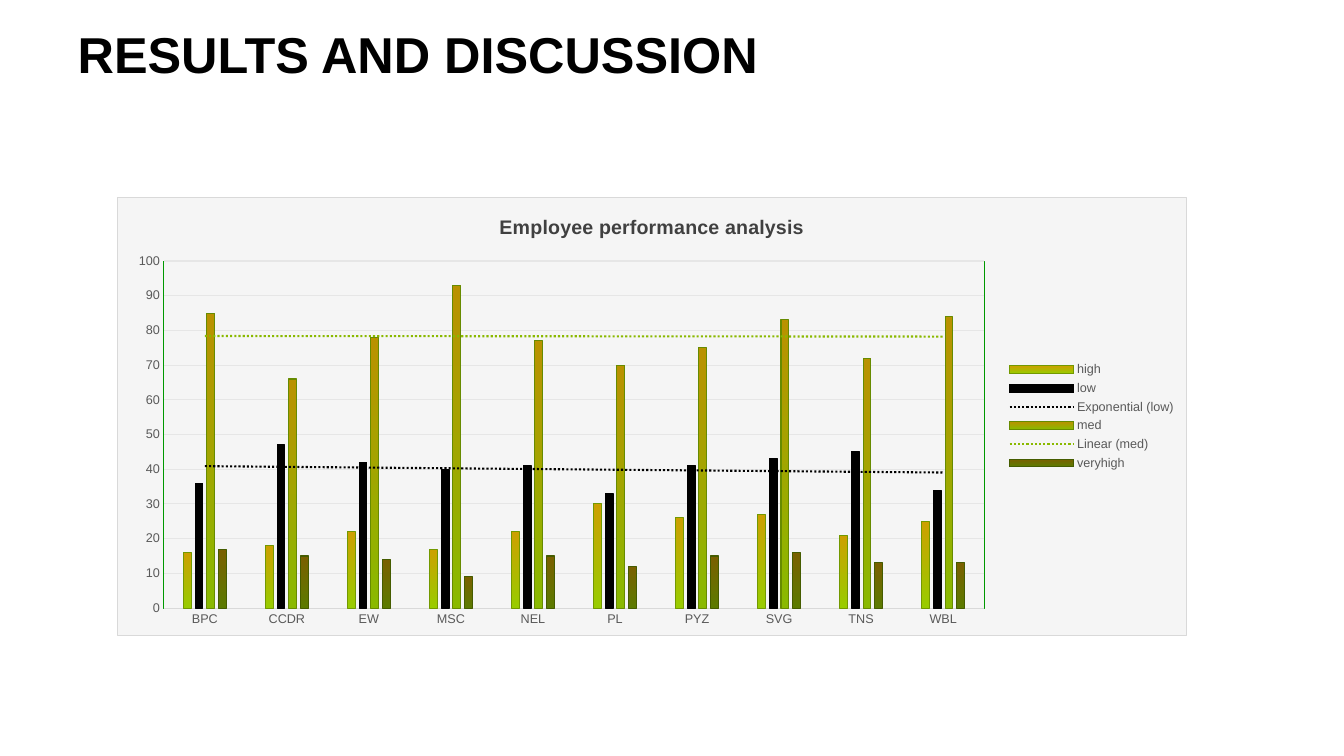
"""Build the results slide with the employee performance chart."""
from lxml import etree
from pptx import Presentation
from pptx.chart.data import CategoryChartData
from pptx.dml.color import RGBColor
from pptx.enum.chart import XL_CHART_TYPE as ChartType
from pptx.enum.chart import XL_LEGEND_POSITION as LegendPosition
from pptx.enum.chart import XL_TICK_MARK as TickMark
from pptx.enum.text import MSO_ANCHOR as Anchor
from pptx.enum.text import MSO_AUTO_SIZE as AutoSize
from pptx.enum.text import PP_ALIGN as Align
from pptx.oxml import parse_xml
from pptx.oxml.ns import nsdecls, qn
from pptx.util import Inches, Pt

COLORS = {
    "black": "000000", "heading": "404040", "label": "595959",
    "panel": "F5F5F5", "border": "D9D9D9", "grid": "E6E6E6",
    "plot": "009900", "trend": "8AB900",
}
FONT = "Arial"
CATEGORIES = ["BPC", "CCDR", "EW", "MSC", "NEL", "PL", "PYZ", "SVG", "TNS", "WBL"]
SERIES = [
    ("high", [16, 18, 22, 17, 22, 30, 26, 27, 21, 25], ["CCA000", "99CC00"], "739900"),
    ("low", [36, 47, 42, 40, 41, 33, 41, 43, 45, 34], ["000000"], "000000"),
    ("med", [85, 66, 78, 93, 77, 70, 75, 83, 72, 84], ["B99200", "8AB900"], "678B00"),
    ("veryhigh", [17, 15, 14, 9, 15, 12, 15, 16, 13, 13], ["7A6000", "5C7A00"], "455C00"),
]
TRENDS = {"low": ("exp", "black"), "med": ("linear", "trend")}


def style_font(font, size, color, bold=False):
    """Set face, size, colour and weight of a font."""
    font.name = FONT
    font.size = Pt(size)
    font.bold = bold
    font.color.rgb = RGBColor.from_string(COLORS[color])


def shape_properties(fill, line, width=0.75, dash="solid"):
    """Return a chart spPr element with the given fill and line."""
    properties = parse_xml(
        f'<c:spPr {nsdecls("c", "a")}><a:ln w="{Pt(width)}"><a:solidFill>'
        f'<a:srgbClr val="{COLORS[line]}"/></a:solidFill>'
        f'<a:prstDash val="{dash}"/></a:ln></c:spPr>')
    paint = etree.Element(qn("a:solidFill" if fill else "a:noFill"))
    if fill:
        etree.SubElement(paint, qn("a:srgbClr"), val=COLORS[fill])
    properties.insert(0, paint)
    return properties


deck = Presentation()
deck.slide_width, deck.slide_height = Inches(13.33), Inches(7.5)
page = deck.slides.add_slide(deck.slide_layouts[5])

title = page.shapes.title
title.left, title.top = Inches(0.67), Inches(0.21)
title.width, title.height = Inches(12), Inches(0.64)
title.text_frame.text = "RESULTS AND DISCUSSION"
title.text_frame.auto_size = AutoSize.NONE
title.text_frame.vertical_anchor = Anchor.MIDDLE
heading = title.text_frame.paragraphs[0]
heading.alignment = Align.LEFT
style_font(heading.font, 36, "black", True)

data = CategoryChartData()
data.categories = CATEGORIES
for name, values, fills, outline in SERIES:
    data.add_series(name, values)
chart = page.shapes.add_chart(
    ChartType.COLUMN_CLUSTERED, Inches(1.16), Inches(1.95),
    Inches(10.61), Inches(4.36), data).chart
style_font(chart.font, 10, "black")

chart.has_title = True
chart.chart_title.include_in_layout = False
chart.chart_title.text_frame.text = "Employee performance analysis"
style_font(chart.chart_title.text_frame.paragraphs[0].font, 14, "heading", True)

chart.has_legend = True
chart.legend.position = LegendPosition.RIGHT
chart.legend.include_in_layout = False
style_font(chart.legend.font, 9, "label")

for axis in (chart.category_axis, chart.value_axis):
    axis.major_tick_mark = axis.minor_tick_mark = TickMark.NONE
    style_font(axis.tick_labels.font, 9, "label")

category_line = chart.category_axis.format.line
category_line.width = Pt(0.75)
category_line.color.rgb = RGBColor.from_string(COLORS["border"])

value_axis = chart.value_axis
value_axis.minimum_scale, value_axis.maximum_scale = 0, 100
value_axis.major_unit = 10
value_axis.format.line.fill.background()
grid_line = value_axis.major_gridlines.format.line
grid_line.width = Pt(0.75)
grid_line.color.rgb = RGBColor.from_string(COLORS["grid"])

plot = chart.plots[0]
plot.gap_width, plot.overlap = 500, -50
plot.vary_by_categories = False
for series, (name, values, fills, outline) in zip(plot.series, SERIES):
    fill = series.format.fill
    if len(fills) == 1:
        fill.solid()
        fill.fore_color.rgb = RGBColor.from_string(fills[0])
    else:
        fill.gradient()
        fill.gradient_angle = 270
        for stop, color, position in zip(fill.gradient_stops, fills, (0, 1)):
            stop.color.rgb = RGBColor.from_string(color)
            stop.position = position
    series.format.line.width = Pt(0.75)
    series.format.line.color.rgb = RGBColor.from_string(outline)
    series.invert_if_negative = False
    if name in TRENDS:
        kind, color = TRENDS[name]
        trend = etree.Element(qn("c:trendline"))
        trend.append(shape_properties(None, color, 1.5, "sysDot"))
        for tag, value in (("trendlineType", kind), ("dispRSqr", "0"), ("dispEq", "0")):
            etree.SubElement(trend, qn(f"c:{tag}"), val=value)
        series._element.find(qn("c:cat")).addprevious(trend)

chart_part = chart._chartSpace.find(qn("c:chart"))
chart_part.addnext(shape_properties("panel", "border"))
chart_part.find(qn("c:plotArea")).append(shape_properties(None, "plot"))

deck.save("out.pptx")
